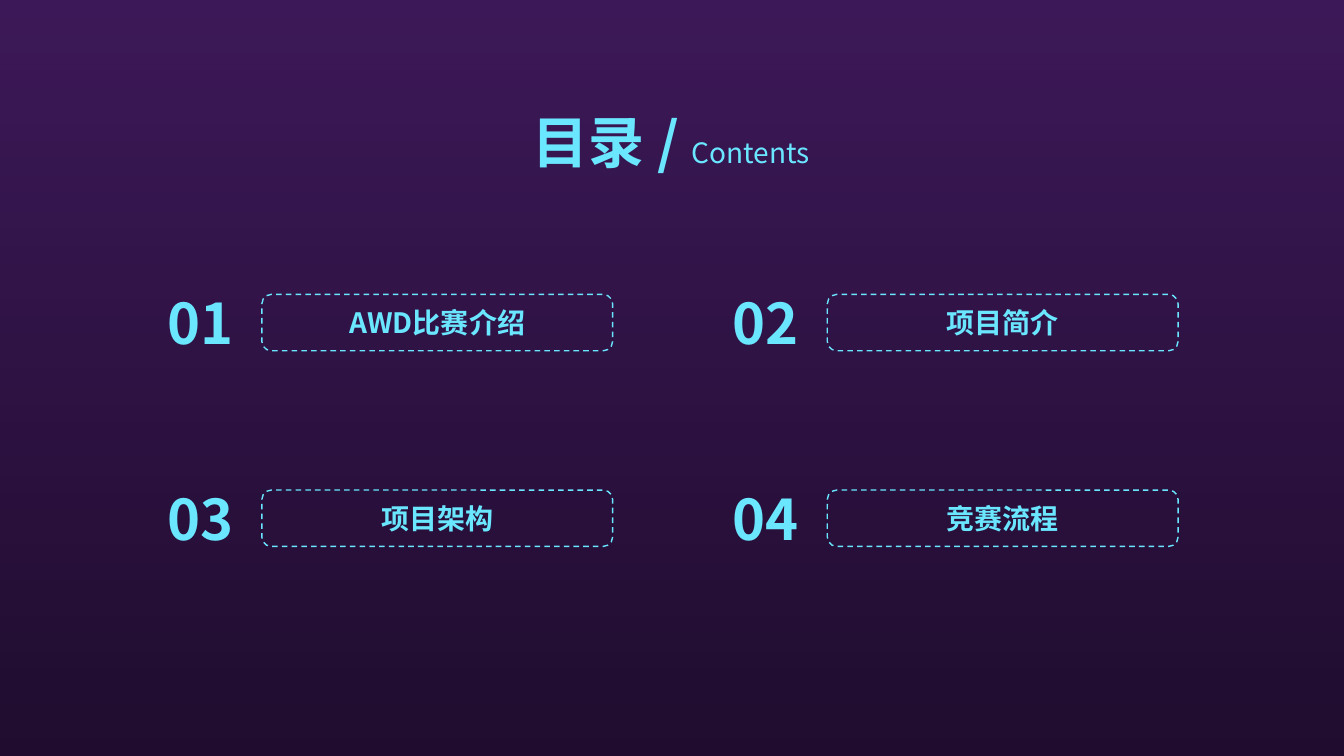
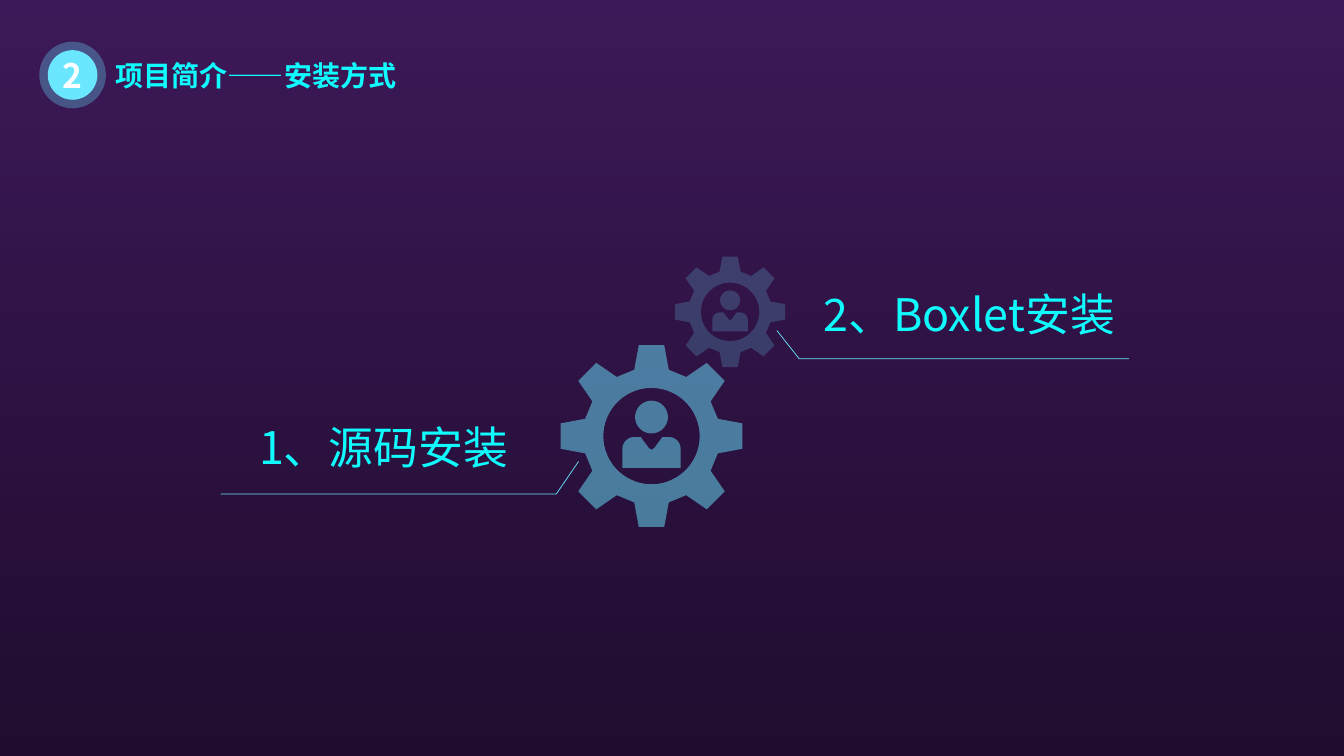
"""Build a contents slide and an installation slide with a shared dark look."""
import math
from dataclasses import dataclass
from typing import Optional

from lxml import etree
from pptx import Presentation
from pptx import util as u
from pptx.dml.color import RGBColor
from pptx.enum import dml, shapes, text
from pptx.oxml.ns import qn

FONT = "Noto Sans CJK SC"
SKY, CYAN, WHITE, BLACK = "6AE7FF", "10FBFE", "FFFFFF", "000000"
GRADIENT = ("7B32B2", "401A5D")
WIDTH, HEIGHT = 33.87, 19.05
LEFT, CENTER, RIGHT = text.PP_ALIGN.LEFT, text.PP_ALIGN.CENTER, text.PP_ALIGN.RIGHT
Point = tuple[float, float]


@dataclass(frozen=True)
class Box:
    """Left, top, width and height in centimetres."""
    left: float
    top: float
    width: float
    height: float

    def lengths(self) -> list[u.Length]:
        """Return the four lengths for a new shape."""
        return [u.Cm(n) for n in (self.left, self.top, self.width, self.height)]


@dataclass(frozen=True)
class Method:
    """One way to install, with its gear and leader line."""
    label: str
    label_box: Box
    gear_center: Point
    gear_radius: float
    gear_opacity: int
    leader: list[Point]


TOPICS = ["AWD比赛介绍", "项目简介", "项目架构", "竞赛流程"]
METHODS = [
    Method("2、Boxlet安装", Box(20.57, 6.45, 9.27, 2.24), (18.4, 7.86), 1.39, 20,
           [(19.58, 8.33), (20.14, 9.04), (28.45, 9.04)]),
    Method("1、源码安装", Box(6.35, 9.8, 7.19, 2.24), (16.42, 10.99), 2.29, 50,
           [(14.58, 11.63), (14.02, 12.45), (5.56, 12.45)]),
]


def color(value: str) -> RGBColor:
    """Turn a hex string into a colour."""
    return RGBColor.from_string(value)


def style(shape, fill: Optional[str] = None, opacity: int = 100,
          line: Optional[str] = None, line_width: float = 1, dashed: bool = False) -> None:
    """Set the fill and outline of a shape and drop its shadow."""
    shape.shadow.inherit = False
    if fill:
        shape.fill.solid()
        shape.fill.fore_color.rgb = color(fill)
        if opacity < 100:
            solid = shape.element.spPr.find(qn("a:solidFill")).find(qn("a:srgbClr"))
            etree.SubElement(solid, qn("a:alpha"), val=str(opacity * 1000))
    else:
        shape.fill.background()
    if line:
        shape.line.color.rgb = color(line)
        shape.line.width = u.Pt(line_width)
        if dashed:
            shape.line.dash_style = dml.MSO_LINE.DASH
    else:
        shape.line.fill.background()


def write(shape, content: str, *, size: float, hue: str = SKY, bold: bool = False,
          align=LEFT, anchor=text.MSO_ANCHOR.TOP, spacing: Optional[float] = None,
          insets: Point = (0.25, 0.13)) -> None:
    """Append formatted text to the first paragraph of a shape."""
    frame = shape.text_frame
    frame.word_wrap = True
    frame.vertical_anchor = anchor
    frame.margin_left = frame.margin_right = u.Cm(insets[0])
    frame.margin_top = frame.margin_bottom = u.Cm(insets[1])
    paragraph = frame.paragraphs[0]
    paragraph.alignment = align
    if spacing:
        paragraph.line_spacing = spacing
    run = paragraph.add_run()
    run.text = content
    run.font.size, run.font.bold, run.font.name = u.Pt(size), bold, FONT
    run.font.color.rgb = color(hue)
    etree.SubElement(run.font._element, qn("a:ea"), typeface=FONT)


def add_preset(slide, kind, box: Box, **look):
    """Add a styled preset shape."""
    shape = slide.shapes.add_shape(kind, *box.lengths())
    style(shape, **look)
    return shape


def add_text(slide, box: Box, content: str, **form):
    """Add a text box holding one text."""
    shape = slide.shapes.add_textbox(*box.lengths())
    write(shape, content, **form)
    return shape


def add_outline(slide, contours: list[list[Point]], closed: bool = True, **look) -> None:
    """Add one freeform made of one or more contours in centimetres."""
    scaled = [[(u.Cm(x), u.Cm(y)) for x, y in contour] for contour in contours]
    builder = slide.shapes.build_freeform(*scaled[0][0])
    for index, contour in enumerate(scaled):
        if index:
            builder.move_to(*contour[0])
        builder.add_line_segments(contour[1:], close=closed)
    style(builder.convert_to_shape(), **look)


def arc(x: float, y: float, radius: float, start: int = 0, end: int = 360) -> list[Point]:
    """Return points along an arc, in steps of six degrees."""
    angles = [math.radians(degree) for degree in range(start, end + 1, 6)]
    return [(x + radius * math.cos(a), y + radius * math.sin(a)) for a in angles]


def gear_rim() -> list[Point]:
    """Return the outline of an eight-toothed gear of radius one."""
    tooth = [(0.73, -0.19), (1, -0.14), (1, 0.14), (0.73, 0.19)]
    rim = []
    for index in range(8):
        cosine, sine = math.cos(index * math.pi / 4), math.sin(index * math.pi / 4)
        rim += [(x * cosine - y * sine, x * sine + y * cosine) for x, y in tooth]
    return rim


def add_gear(slide, center: Point, radius: float, opacity: int) -> None:
    """Draw a gear with a person in its hole."""
    body = [(-0.32, 0.35), *arc(-0.19, 0.14, 0.13, 180, 270), (-0.12, 0.01), (-0.03, 0.13),
            (0, 0.15), (0.03, 0.13), (0.12, 0.01), *arc(0.19, 0.14, 0.13, 270, 360), (0.32, 0.35)]
    for figure in ([gear_rim(), arc(0, 0, 0.53)], [arc(0, -0.21, 0.18), body]):
        placed = [[(center[0] + radius * x, center[1] + radius * y) for x, y in contour]
                  for contour in figure]
        add_outline(slide, placed, fill=SKY, opacity=opacity)


def set_background(presentation) -> None:
    """Give the master the shared gradient."""
    fill = presentation.slide_master.background.fill
    fill.gradient()
    fill.gradient_angle = 270
    for stop, position, hue in zip(fill.gradient_stops, (0, 1), GRADIENT):
        stop.position = position
        stop.color.rgb = color(hue)


def new_slide(presentation):
    """Add a blank slide with the dark veil."""
    slide = presentation.slides.add_slide(presentation.slide_layouts[6])
    add_preset(slide, shapes.MSO_SHAPE.RECTANGLE, Box(0, 0, WIDTH, HEIGHT),
               fill=BLACK, opacity=50)
    return slide


def add_header(slide, number: str, title: str) -> None:
    """Draw the numbered badge and the section title."""
    for diameter, opacity in ((1.68, 30), (1.25, 100)):
        box = Box(1.83 - diameter / 2, 1.89 - diameter / 2, diameter, diameter)
        badge = add_preset(slide, shapes.MSO_SHAPE.OVAL, box, fill=SKY, opacity=opacity)
    write(badge, number, size=24, hue=WHITE, bold=True, align=CENTER,
          anchor=text.MSO_ANCHOR.MIDDLE, insets=(0, 0))
    add_text(slide, Box(2.67, 1.35, 14.55, 1.12), title, size=20, hue=CYAN, bold=True)


def build_contents(presentation) -> None:
    """Build the contents slide as a grid of two columns."""
    slide = new_slide(presentation)
    heading = add_text(slide, Box(11.81, 2.59, 10.21, 1.96), "目录 / ",
                       size=40, bold=True, align=CENTER)
    write(heading, "Contents", size=20, align=CENTER)
    for index, topic in enumerate(TOPICS):
        row, column = divmod(index, 2)
        x, y = 14.25 * column, 4.93 * row
        add_text(slide, Box(3.84 + x, 7.14 + y, 2.29, 1.96), f"{index + 1:02}",
                 size=40, bold=True, align=RIGHT)
        frame = add_preset(slide, shapes.MSO_SHAPE.ROUNDED_RECTANGLE,
                           Box(6.6 + x, 7.42 + y, 8.84, 1.42), line=SKY, dashed=True)
        write(frame, topic, size=20, bold=True, align=CENTER, anchor=text.MSO_ANCHOR.MIDDLE)


def build_installation(presentation) -> None:
    """Build the slide with the two ways to install."""
    slide = new_slide(presentation)
    add_header(slide, "2", "项目简介——安装方式")
    for method in METHODS:
        add_gear(slide, method.gear_center, method.gear_radius, method.gear_opacity)
        add_outline(slide, [method.leader], closed=False, line=SKY, line_width=0.5)
        add_text(slide, method.label_box, method.label, size=32, hue=CYAN,
                 spacing=1.5, insets=(0.18, 0.1))


def main() -> None:
    """Build and save the presentation."""
    presentation = Presentation()
    presentation.slide_width, presentation.slide_height = u.Cm(WIDTH), u.Cm(HEIGHT)
    set_background(presentation)
    build_contents(presentation)
    build_installation(presentation)
    presentation.save("out.pptx")


if __name__ == "__main__":
    main()
